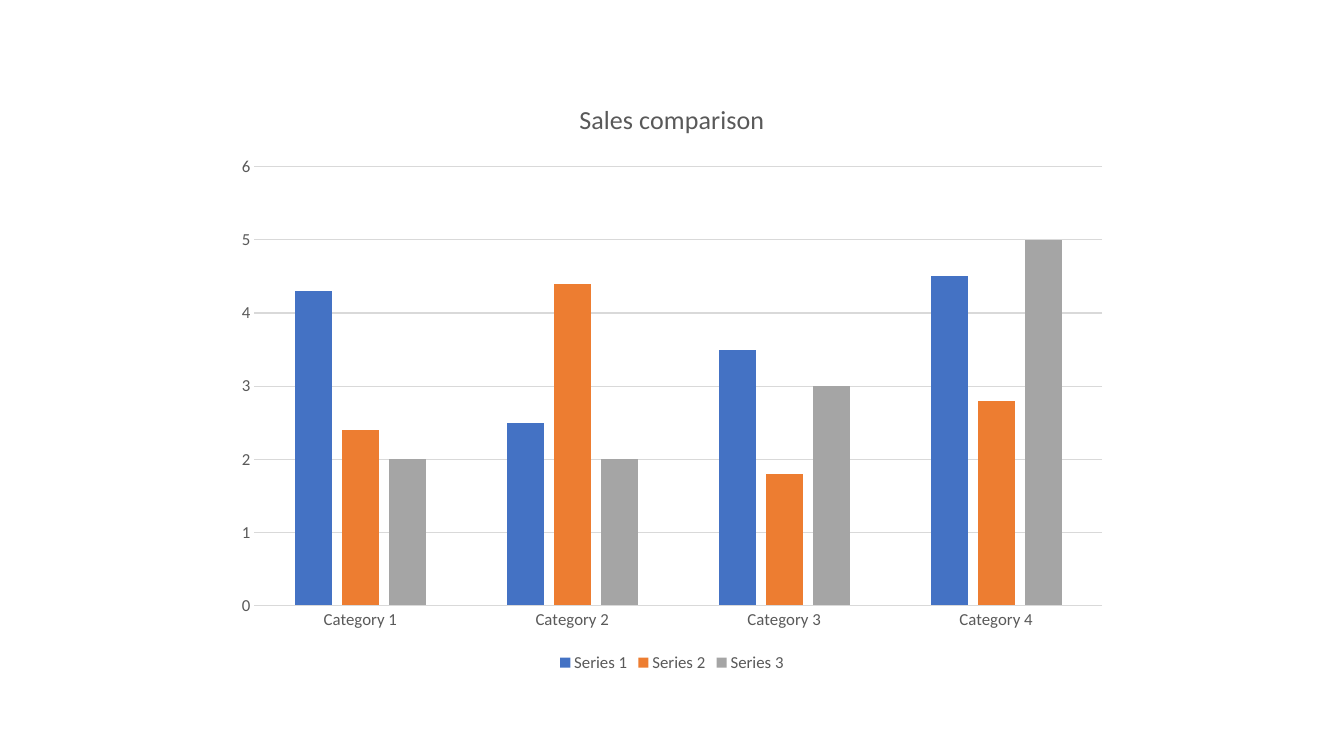
import pptx
import pptx.chart.data
import pptx.dml.color
import pptx.enum.chart
import pptx.util

Pt = pptx.util.Pt
RGBColor = pptx.dml.color.RGBColor

TITLE = "Sales comparison"
CATEGORIES = ["Category 1", "Category 2", "Category 3", "Category 4"]
SERIES = [
    ("Series 1", (4.3, 2.5, 3.5, 4.5), RGBColor(0x44, 0x72, 0xC4)),
    ("Series 2", (2.4, 4.4, 1.8, 2.8), RGBColor(0xED, 0x7D, 0x31)),
    ("Series 3", (2, 2, 3, 5), RGBColor(0xA5, 0xA5, 0xA5)),
]
TEXT_GREY = RGBColor(0x59, 0x59, 0x59)
LINE_GREY = RGBColor(0xD9, 0xD9, 0xD9)
FONT = "Calibri"

SLIDE_WIDTH, SLIDE_HEIGHT = 960, 540
CHART_WIDTH, CHART_HEIGHT = 640, 426.67


def style_font(font, size):
    font.name = FONT
    font.size = Pt(size)
    font.bold = False
    font.color.rgb = TEXT_GREY


def style_line(line):
    line.color.rgb = LINE_GREY
    line.width = Pt(0.75)


def add_sales_chart(page):
    data = pptx.chart.data.CategoryChartData()
    data.categories = CATEGORIES
    for name, values, _ in SERIES:
        data.add_series(name, values)
    chart = page.shapes.add_chart(
        pptx.enum.chart.XL_CHART_TYPE.COLUMN_CLUSTERED,
        Pt((SLIDE_WIDTH - CHART_WIDTH) / 2),
        Pt((SLIDE_HEIGHT - CHART_HEIGHT) / 2),
        Pt(CHART_WIDTH),
        Pt(CHART_HEIGHT),
        data,
    ).chart
    style_font(chart.font, 12)

    chart.has_title = True
    title = chart.chart_title
    title.include_in_layout = False
    para = title.text_frame.paragraphs[0]
    para.text = TITLE
    style_font(para.font, 18.6)

    chart.has_legend = True
    chart.legend.position = pptx.enum.chart.XL_LEGEND_POSITION.BOTTOM
    chart.legend.include_in_layout = False
    style_font(chart.legend.font, 12)

    for axis in (chart.category_axis, chart.value_axis):
        axis.major_tick_mark = pptx.enum.chart.XL_TICK_MARK.NONE
        axis.minor_tick_mark = pptx.enum.chart.XL_TICK_MARK.NONE
        style_font(axis.tick_labels.font, 12)
    style_line(chart.category_axis.format.line)
    chart.value_axis.format.line.fill.background()
    chart.value_axis.has_major_gridlines = True
    style_line(chart.value_axis.major_gridlines.format.line)

    plot = chart.plots[0]
    plot.vary_by_categories = False
    plot.gap_width = 219
    plot.overlap = -27
    for series, (_, _, color) in zip(plot.series, SERIES):
        series.format.fill.solid()
        series.format.fill.fore_color.rgb = color
        series.invert_if_negative = False


def main():
    deck = pptx.Presentation()
    deck.slide_width, deck.slide_height = Pt(SLIDE_WIDTH), Pt(SLIDE_HEIGHT)
    page = deck.slides.add_slide(deck.slide_layouts[6])
    add_sales_chart(page)
    deck.save("out.pptx")


if __name__ == "__main__":
    main()
